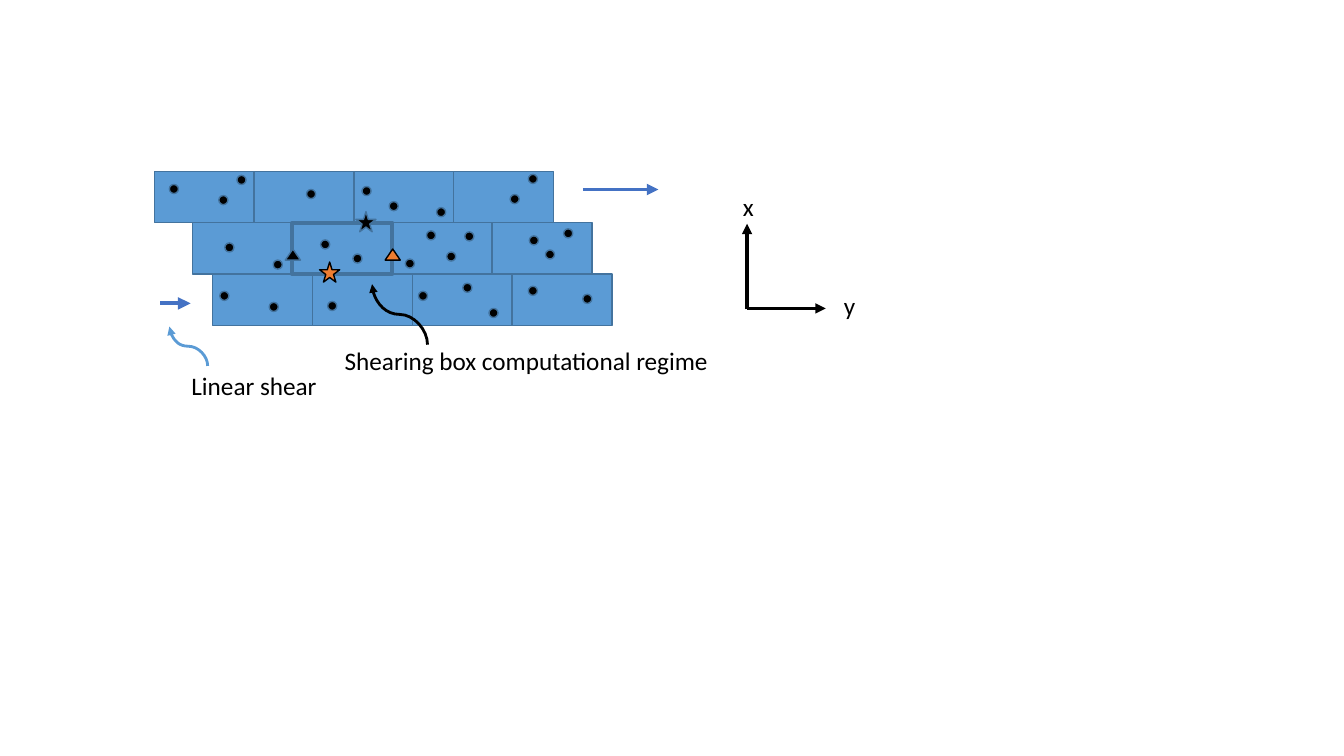
from typing import NamedTuple

from lxml import etree
from pptx import Presentation
from pptx.dml.color import RGBColor
from pptx.enum.shapes import MSO_CONNECTOR, MSO_SHAPE
from pptx.enum.text import MSO_AUTO_SIZE
from pptx.oxml.ns import qn
from pptx.util import Inches, Pt

RECTANGLE, OVAL = MSO_SHAPE.RECTANGLE, MSO_SHAPE.OVAL
TRIANGLE, STAR = MSO_SHAPE.ISOSCELES_TRIANGLE, MSO_SHAPE.STAR_5_POINT
STRAIGHT, CURVE = MSO_CONNECTOR.STRAIGHT, MSO_CONNECTOR.CURVE
FIT_SHAPE = MSO_AUTO_SIZE.SHAPE_TO_FIT_TEXT

BLACK = RGBColor(0x00, 0x00, 0x00)
CELL_BLUE = RGBColor(0x5B, 0x9B, 0xD5)
EDGE_BLUE = RGBColor(0x43, 0x73, 0x9E)
SHEAR_BLUE = RGBColor(0x44, 0x72, 0xC4)
ORANGE = RGBColor(0xED, 0x7D, 0x31)

CELL_WIDTH, CELL_HEIGHT = 0.99, 0.51
GRID_TOP, COLUMNS = 1.7, 4
ROW_LEFTS = (1.53, 1.91, 2.11)
CENTRAL_CELL = (1, 1)
DOT_SIZE = 0.09
TRIANGLE_SIZE = (0.15, 0.11)
STAR_SIZE = (0.2, 0.2)
LABEL_HEIGHT = 0.4


class Point(NamedTuple):
    """A place on the slide, in inches."""
    x: float
    y: float


class Arrow(NamedTuple):
    """A straight or curved arrow."""
    start: Point
    end: Point
    color: RGBColor
    weight: float
    curved: bool = False


class Marker(NamedTuple):
    """A body that crosses the edge of the central box."""
    kind: MSO_SHAPE
    corner: Point
    size: tuple[float, float]
    fill: RGBColor
    edge: RGBColor


class Label(NamedTuple):
    """A line of text and its box."""
    text: str
    corner: Point
    width: float


OUTER_DOTS = [Point(*place) for place in (
    (1.68, 1.83), (2.17, 1.94), (2.35, 1.74), (3.04, 1.88), (3.59, 1.85),
    (3.86, 2.0), (4.33, 2.06), (5.06, 1.93), (5.24, 1.73),
    (2.23, 2.41), (2.71, 2.58), (4.02, 2.57), (4.23, 2.29), (4.43, 2.5),
    (4.61, 2.3), (5.25, 2.34), (5.41, 2.48), (5.59, 2.27),
    (2.18, 2.89), (2.67, 3.0), (3.25, 2.99), (4.15, 2.89), (4.59, 2.81),
    (4.85, 3.06), (5.24, 2.84), (5.78, 2.92))]
CENTRAL_DOTS = [Point(3.18, 2.38), Point(3.5, 2.52)]

SHEAR_AND_AXES = [
    Arrow(Point(5.78, 1.88), Point(6.53, 1.88), SHEAR_BLUE, 2.75),
    Arrow(Point(1.59, 3.01), Point(1.89, 3.01), SHEAR_BLUE, 3),
    Arrow(Point(7.41, 3.07), Point(7.41, 2.22), BLACK, 2.5),
    Arrow(Point(7.41, 3.06), Point(8.19, 3.06), BLACK, 2.5),
]
POINTERS = [
    Arrow(Point(2.06, 3.63), Point(1.68, 3.24), CELL_BLUE, 2, curved=True),
    Arrow(Point(4.24, 3.42), Point(3.69, 2.82), BLACK, 2, curved=True),
]
MARKERS = [
    Marker(TRIANGLE, Point(2.83, 2.47), TRIANGLE_SIZE, BLACK, EDGE_BLUE),
    Marker(TRIANGLE, Point(3.82, 2.47), TRIANGLE_SIZE, ORANGE, BLACK),
    Marker(STAR, Point(3.53, 2.1), STAR_SIZE, BLACK, EDGE_BLUE),
    Marker(STAR, Point(3.17, 2.6), STAR_SIZE, ORANGE, BLACK),
]
LABELS = [
    Label("x", Point(7.27, 1.85), 0.22),
    Label("y", Point(8.27, 2.83), 0.22),
    Label("Linear shear", Point(1.8, 3.62), 1.81),
    Label("Shearing box computational regime", Point(3.32, 3.38), 3.94),
]


def draw_shape(slide, kind: MSO_SHAPE, corner: Point, size: tuple[float, float],
               fill: RGBColor, edge: RGBColor = EDGE_BLUE, weight: float = 1) -> None:
    """Draw a filled preset shape with an outline."""
    shape = slide.shapes.add_shape(kind, *map(Inches, (*corner, *size)))
    shape.shadow.inherit = False
    shape.fill.solid()
    shape.fill.fore_color.rgb = fill
    shape.line.color.rgb = edge
    shape.line.width = Pt(weight)


def draw_cell(slide, row: int, column: int, weight: float = 1) -> None:
    """Draw one box of the sheared grid."""
    corner = Point(ROW_LEFTS[row] + column * CELL_WIDTH, GRID_TOP + row * CELL_HEIGHT)
    draw_shape(slide, RECTANGLE, corner, (CELL_WIDTH, CELL_HEIGHT), CELL_BLUE,
               weight=weight)


def draw_dots(slide, dots: list[Point]) -> None:
    """Draw particles of equal size."""
    for dot in dots:
        draw_shape(slide, OVAL, dot, (DOT_SIZE, DOT_SIZE), BLACK)


def draw_arrow(slide, arrow: Arrow) -> None:
    """Draw an arrow; a curved one leaves and arrives vertically."""
    start, end = arrow.start, arrow.end
    if arrow.curved:
        # A quarter turn swaps the extents about the shared centre.
        center = Point((start.x + end.x) / 2, (start.y + end.y) / 2)
        half_width, half_height = (start.y - end.y) / 2, (start.x - end.x) / 2
        start = Point(center.x - half_width, center.y + half_height)
        end = Point(center.x + half_width, center.y - half_height)
    connector = slide.shapes.add_connector(
        CURVE if arrow.curved else STRAIGHT, *map(Inches, (*start, *end)))
    connector.line.color.rgb = arrow.color
    connector.line.width = Pt(arrow.weight)
    properties = connector.element.spPr
    if arrow.curved:
        properties.find(qn("a:xfrm")).set("rot", str(270 * 60000))
    etree.SubElement(properties.find(qn("a:ln")), qn("a:tailEnd"), type="triangle")
    etree.SubElement(properties, qn("a:effectLst"))


def draw_text(slide, text: str, corner: Point, width: float, *, size: float = 18,
              font: str = "Calibri", color: RGBColor = BLACK) -> None:
    """Write one line of text in a box."""
    box = slide.shapes.add_textbox(*map(Inches, (*corner, width, LABEL_HEIGHT)))
    box.text_frame.word_wrap = True
    box.text_frame.auto_size = FIT_SHAPE
    run = box.text_frame.paragraphs[0].add_run()
    run.text = text
    run.font.name = font
    run.font.size = Pt(size)
    run.font.color.rgb = color


def main() -> None:
    """Build the shearing box diagram."""
    presentation = Presentation()
    presentation.slide_width = Inches(13.33)
    presentation.slide_height = Inches(7.5)
    blank_layout = presentation.slide_layouts[6]
    slide = presentation.slides.add_slide(blank_layout)

    for row in range(len(ROW_LEFTS)):
        for column in range(COLUMNS):
            if (row, column) != CENTRAL_CELL:
                draw_cell(slide, row, column)
    draw_dots(slide, OUTER_DOTS)
    draw_cell(slide, *CENTRAL_CELL, weight=3)
    draw_dots(slide, CENTRAL_DOTS)
    for arrow in SHEAR_AND_AXES + POINTERS:
        draw_arrow(slide, arrow)
    for marker in MARKERS:
        draw_shape(slide, *marker)
    for label in LABELS:
        draw_text(slide, *label)

    presentation.save("out.pptx")


main()
